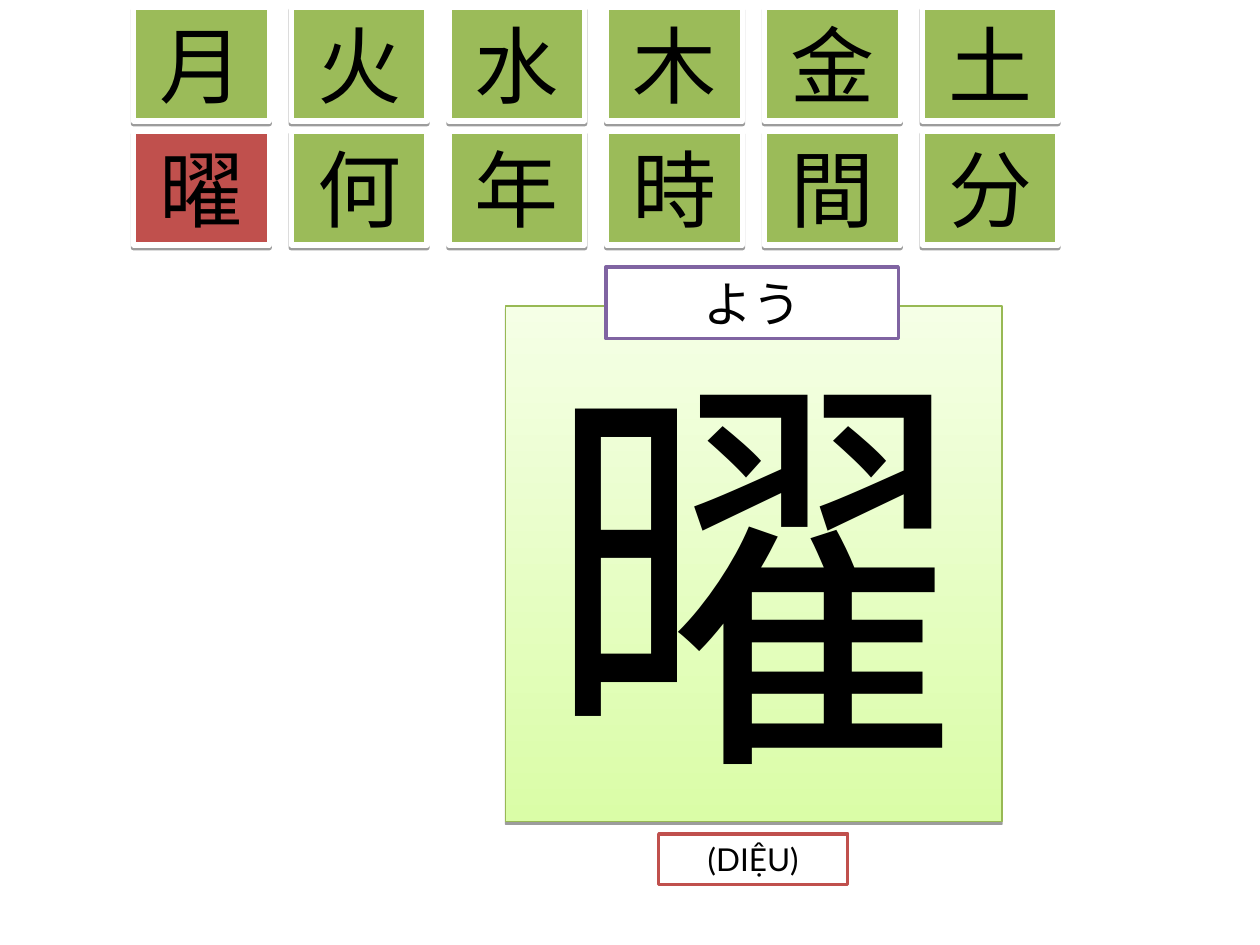
from lxml import etree
from pptx import Presentation
from pptx import util as u
from pptx.dml.color import RGBColor
from pptx.enum import shapes, text
from pptx.oxml.ns import qn

FONT = "Lato"
GREEN, RED, PURPLE, WHITE = "9BBB59", "C0504D", "8064A2", "FFFFFF"
KANJI_ROWS = ("月火水木金土", "曜何年時間分")
CURRENT_KANJI = "曜"
TILE_LEFT, TILE_TOP = 2.69, 0.15
COLUMN_STEP, ROW_STEP = 3.18, 2.5


def color(value):
    return RGBColor.from_string(value)


def add_box(page, place, wording, size, line, line_width):
    """Add an outlined rectangle; place is left, top, width, height in cm."""
    box = page.shapes.add_shape(
        shapes.MSO_SHAPE.RECTANGLE, *(u.Cm(length) for length in place))
    box.shadow.inherit = False
    box.line.color.rgb = color(line)
    box.line.width = u.Pt(line_width)
    frame = box.text_frame
    frame.word_wrap = True
    frame.auto_size = text.MSO_AUTO_SIZE.SHAPE_TO_FIT_TEXT
    para = frame.paragraphs[0]
    para.text = wording
    para.alignment = text.PP_ALIGN.CENTER
    para.font.name = FONT
    para.font.size = u.Pt(size)
    para.font.color.rgb = color("000000")
    return box


def fill_solid(box, value):
    box.fill.solid()
    box.fill.fore_color.rgb = color(value)


def fill_gradient(box, bottom, top):
    box.fill.gradient()
    box.fill.gradient_angle = 90
    for stop, value in zip(box.fill.gradient_stops, (bottom, top)):
        stop.color.rgb = color(value)


def add_shadow(box):
    """Drop a sharp, translucent black shadow straight down."""
    effects = box._element.spPr.find(qn("a:effectLst"))
    shadow = etree.SubElement(
        effects, qn("a:outerShdw"), blurRad="0", dist=str(u.Pt(1.6)),
        dir="5400000", rotWithShape="0")
    black = etree.SubElement(shadow, qn("a:srgbClr"), val="000000")
    etree.SubElement(black, qn("a:alpha"), val="38000")


def add_label(page, place, wording, size, line):
    fill_solid(add_box(page, place, wording, size, line, 2), WHITE)


def add_kanji_tiles(page):
    for row, kanji_row in enumerate(KANJI_ROWS):
        for column, kanji in enumerate(kanji_row):
            place = (TILE_LEFT + column * COLUMN_STEP,
                     TILE_TOP + row * ROW_STEP, 2.74, 2.29)
            tile = add_box(page, place, kanji, 48, WHITE, 3)
            fill_solid(tile, RED if kanji == CURRENT_KANJI else GREEN)
            add_shadow(tile)


def add_kanji_card(page):
    card = add_box(page, (10.19, 6.17, 10.01, 10.39), CURRENT_KANJI, 239,
                   "98B954", 0.75)
    fill_gradient(card, "DAFDA7", "F5FFE6")
    add_shadow(card)


def main():
    deck = Presentation()
    deck.slide_width, deck.slide_height = u.Cm(25.4), u.Cm(19.05)
    page = deck.slides.add_slide(deck.slide_layouts[6])
    add_kanji_card(page)
    add_label(page, (13.28, 16.81, 3.81, 1.02), "(DIỆU)", 18, RED)
    add_label(page, (12.22, 5.38, 5.89, 1.45), "よう", 28, PURPLE)
    add_kanji_tiles(page)
    deck.save("out.pptx")


if __name__ == "__main__":
    main()
